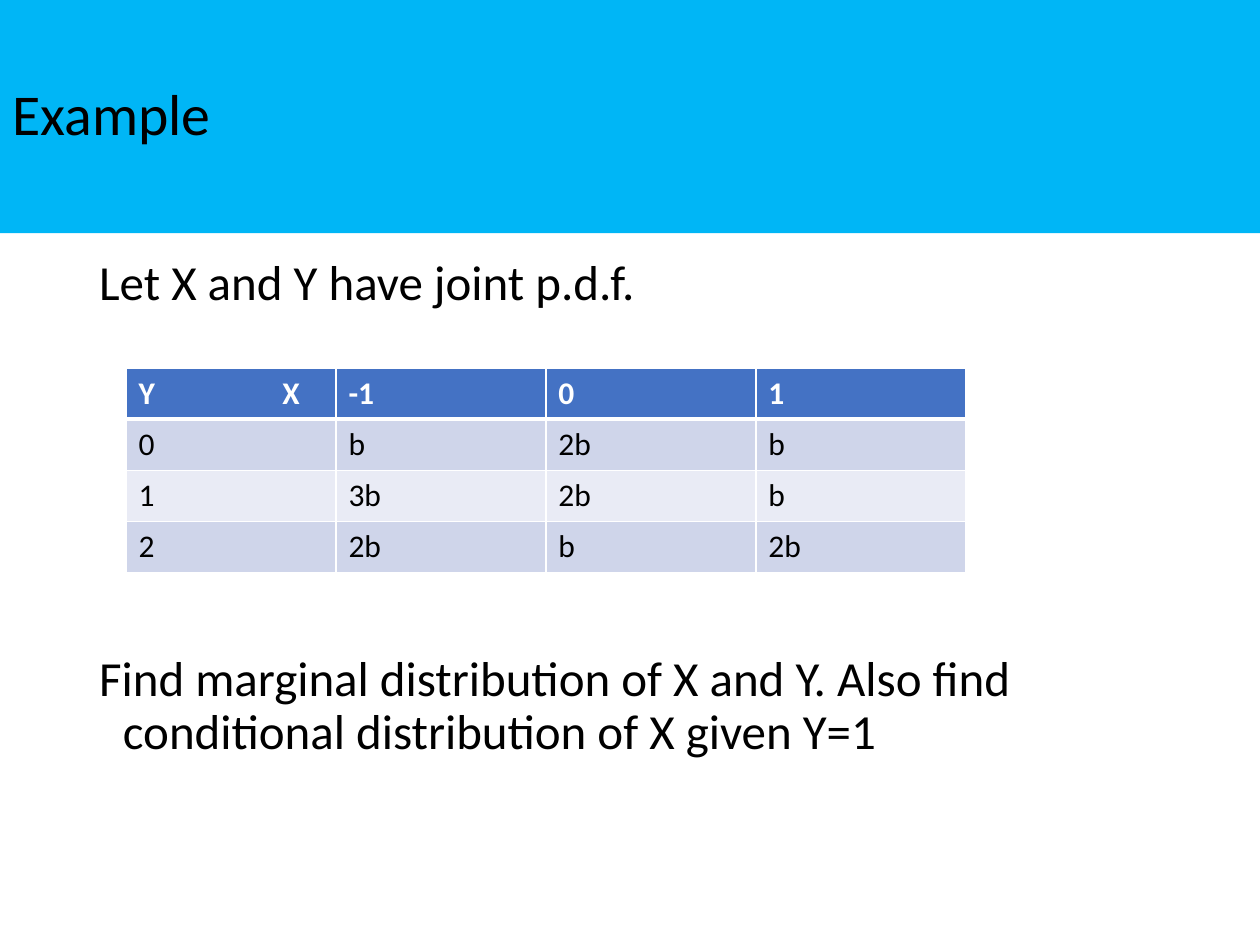
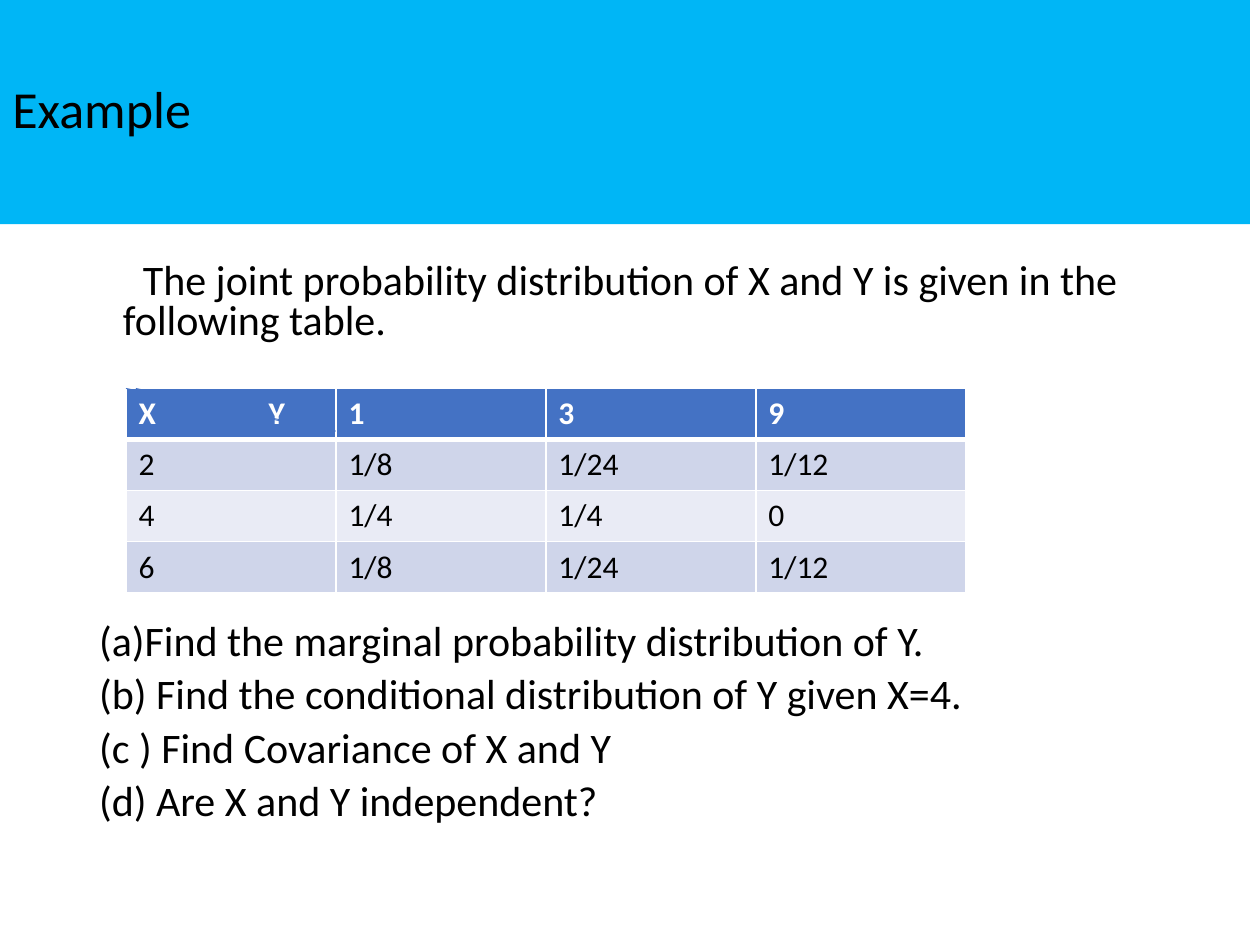
import collections
import pptx
import pptx.dml.color
import pptx.enum.shapes
import pptx.enum.text
import pptx.oxml.ns
import pptx.util
from lxml import etree
from pptx.util import Cm, Pt

FONT = "Calibri"
BLACK, WHITE = "000000", "FFFFFF"
BAND_BLUE, HEADER_BLUE = "00B6F6", "4472C4"
ROW_FILLS = ("CFD5EA", "E9EBF5")
HANG = 0.48

Box = collections.namedtuple("Box", "left top width height")
Line = collections.namedtuple("Line", "text before indent", defaults=(7.5, -HANG))

BODY_BOX = Box(1.75, 5.08, 21.89, 12.09)


def colour(value):
    return pptx.dml.color.RGBColor.from_string(value)


def lengths(box):
    return [Cm(side) for side in box]


def add_element(parent, tag, **attributes):
    element = etree.SubElement(parent, pptx.oxml.ns.qn(tag))
    for name, value in attributes.items():
        element.set(name, str(value))
    return element


def style_text(para, size, shade=BLACK, bold=False):
    for span in para.runs:
        span.font.name = FONT
        span.font.size = Pt(size)
        span.font.bold = bold
        span.font.color.rgb = colour(shade)


def add_title_band(page, box, text, size):
    band = page.shapes.add_shape(pptx.enum.shapes.MSO_SHAPE.RECTANGLE, *lengths(box))
    band.shadow.inherit = False
    band.fill.solid()
    band.fill.fore_color.rgb = colour(BAND_BLUE)
    band.line.fill.background()
    frame = band.text_frame
    frame.text = text
    frame.vertical_anchor = pptx.enum.text.MSO_ANCHOR.MIDDLE
    para = frame.paragraphs[0]
    para.alignment = pptx.enum.text.PP_ALIGN.LEFT
    para.line_spacing = 0.9
    style_text(para, size)


def add_body(page, box, lines, size, spacing, top_inset=0.13):
    frame = page.shapes.add_textbox(*lengths(box)).text_frame
    frame.word_wrap = True
    frame.margin_top = Cm(top_inset)
    frame.text = "\n".join(line.text for line in lines)
    for para, line in zip(frame.paragraphs, lines):
        para.line_spacing = spacing
        para.space_before = Pt(line.before)
        properties = para._p.get_or_add_pPr()
        properties.set("marL", str(Cm(HANG)))
        properties.set("indent", str(Cm(line.indent)))
        style_text(para, size)


def draw_borders(cell, row):
    properties = cell._tc.get_or_add_tcPr()
    widths = {"L": 1, "R": 1, "T": 3 if row == 1 else 1, "B": 3 if row == 0 else 1}
    for side, width in widths.items():
        edge = add_element(properties, f"a:ln{side}", w=Pt(width))
        add_element(add_element(edge, "a:solidFill"), "a:srgbClr", val=WHITE)


def add_joint_table(page, box, rows, corner_tab):
    table = page.shapes.add_table(len(rows), len(rows[0]), *lengths(box)).table
    for row, values in enumerate(rows):
        header = row == 0
        for column, value in enumerate(values):
            cell = table.cell(row, column)
            cell.text = value
            draw_borders(cell, row)
            cell.fill.solid()
            cell.fill.fore_color.rgb = colour(
                HEADER_BLUE if header else ROW_FILLS[(row - 1) % 2])
            style_text(cell.text_frame.paragraphs[0], 18,
                       WHITE if header else BLACK, header)
    corner = table.cell(0, 0).text_frame.paragraphs[0]
    tabs = add_element(corner._p.get_or_add_pPr(), "a:tabLst")
    add_element(tabs, "a:tab", pos=Cm(corner_tab), algn="l")


def add_corner_diagonals(page, box):
    for x1, y1, x2, y2 in ((0, 0, 4.23, 0.86), (4.02, 0.86, 0.2, 0)):
        diagonal = page.shapes.add_connector(
            pptx.enum.shapes.MSO_CONNECTOR.STRAIGHT,
            Cm(box.left + x1), Cm(box.top + y1),
            Cm(box.left + x2), Cm(box.top + y2))
        diagonal.line.color.rgb = colour(HEADER_BLUE)
        diagonal.line.width = Pt(0.5)
        add_element(diagonal._element.spPr, "a:effectLst")


def build_marginal_example(page):
    add_title_band(page, Box(0, 0, 25.4, 4.7), "Example", 33)
    add_body(page, BODY_BOX, [
        Line("Let X and Y have joint p.d.f."),
        Line("Find marginal distribution of X and Y. Also find "
             "conditional distribution of X given Y=1", 196),
    ], 28, 0.9)
    add_joint_table(page, Box(2.54, 7.42, 16.93, 4.12), [
        ("Y\tX", "-1", "0", "1"),
        ("0", "b", "2b", "b"),
        ("1", "3b", "2b", "b"),
        ("2", "2b", "b", "2b"),
    ], 2.9)


def build_covariance_example(page):
    add_title_band(page, Box(0, 0, 25.2, 4.52), "Example", 29.7)
    add_body(page, BODY_BOX, [
        Line("The joint probability distribution of X and Y is given "
             "in the following table.", indent=0.4),
        Line("(a)Find the marginal probability distribution of Y.", 160),
        Line("(b) Find the conditional distribution of Y given X=4."),
        Line("(c ) Find Covariance of X and Y"),
        Line("(d) Are X and Y independent?"),
    ], 24, 0.8, top_inset=0.23)
    table_box = Box(2.54, 7.83, 16.93, 4.12)
    add_joint_table(page, table_box, [
        ("X\tY", "1", "3", "9"),
        ("2", "1/8", "1/24", "1/12"),
        ("4", "1/4", "1/4", "0"),
        ("6", "1/8", "1/24", "1/12"),
    ], 2.62)
    add_corner_diagonals(page, table_box)


def main():
    deck = pptx.Presentation()
    deck.slide_width, deck.slide_height = Cm(25.4), Cm(19.05)
    for build in (build_marginal_example, build_covariance_example):
        build(deck.slides.add_slide(deck.slide_layouts[6]))
    deck.save("out.pptx")


if __name__ == "__main__":
    main()
